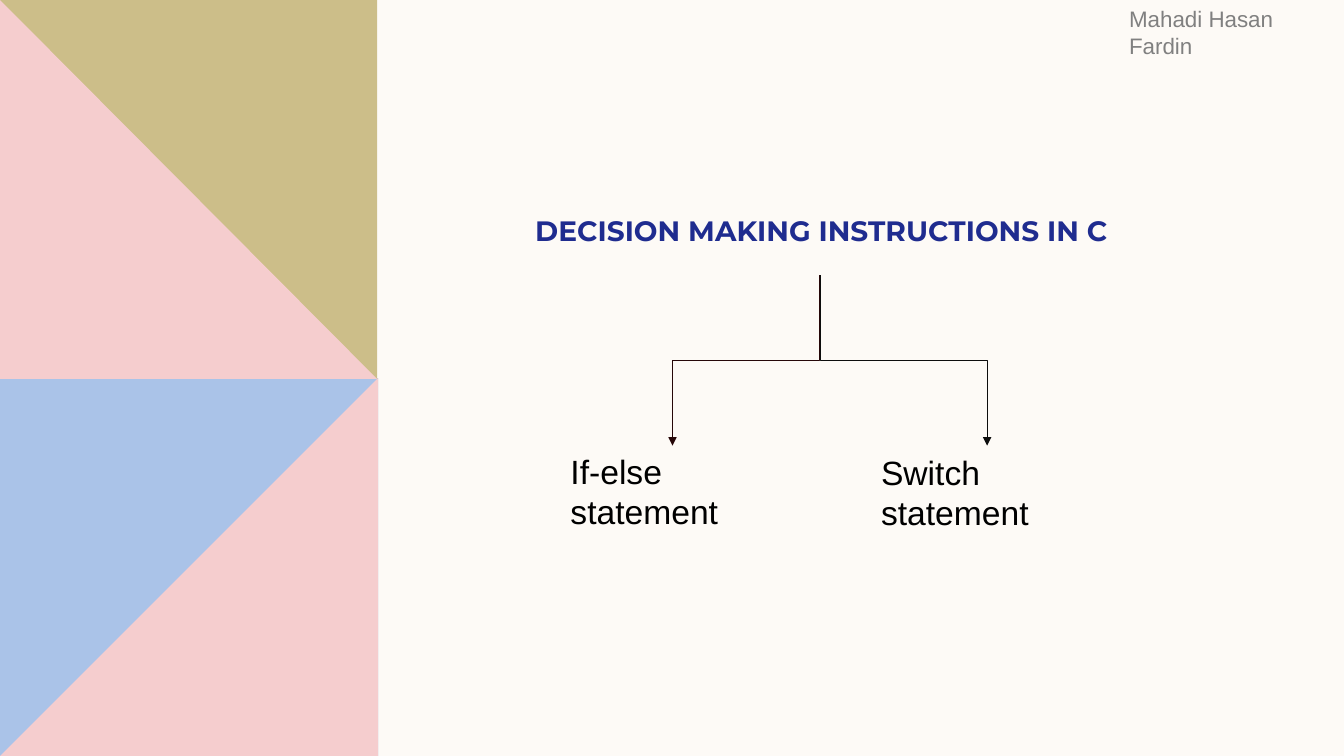
"""Builds the slide on decision making instructions in C."""
import dataclasses

import lxml.etree
import pptx
import pptx.dml.color
import pptx.enum.shapes
import pptx.enum.text
import pptx.oxml.ns
import pptx.util

SCALE = 9144
PINK = "F5CDCE"


@dataclasses.dataclass
class Square:
    left: int
    top: int
    width: int
    height: int
    color: str


@dataclasses.dataclass
class Wedge:
    points: list[tuple[int, int]]
    color: str


@dataclasses.dataclass
class Label:
    text: str
    left: int
    top: int
    width: int
    height: int
    color: str
    format: dict


@dataclasses.dataclass
class Branch:
    start: tuple[int, int]
    end: tuple[int, int]
    color: str


PANEL = [
    Square(0, 375, 375, 375, "AAC3E8"),
    Wedge([(375, 375), (375, 750), (0, 750)], PINK),
    Square(0, 0, 374, 376, "CCBE89"),
    Wedge([(0, 0), (374, 376), (0, 376)], PINK),
]
BODY = {"name": "Arial", "size": pptx.util.Pt(24)}
LABELS = [
    Label("DECISION MAKING INSTRUCTIONS IN C", 521, 207, 740, 84, "1F2C8F",
          {"name": "Montserrat", "size": pptx.util.Pt(20), "bold": True}),
    Label("Switch statement", 864, 443, 272, 50, "000000", BODY),
    Label("If-else statement", 556, 442, 258, 50, "000000", BODY),
    Label("Mahadi Hasan Fardin", 1110, 0, 224, 37, "808080",
          {"name": "Arial", "size": pptx.util.Pt(16)}),
]
BRANCHES = [
    Branch((814, 273), (979, 442), "0D0D0D"),
    Branch((813, 273), (667, 442), "260708"),
]


def px(value: float) -> int:
    return pptx.util.Emu(round(value * SCALE))


def rgb(color: str) -> pptx.dml.color.RGBColor:
    return pptx.dml.color.RGBColor.from_string(color)


def paint(shape, color: str) -> None:
    shape.shadow.inherit = False
    shape.fill.solid()
    shape.fill.fore_color.rgb = rgb(color)
    shape.line.fill.background()


def draw_square(shapes, item: Square) -> None:
    kind = pptx.enum.shapes.MSO_SHAPE.RECTANGLE
    box = map(px, (item.left, item.top, item.width, item.height))
    paint(shapes.add_shape(kind, *box), item.color)


def draw_wedge(shapes, item: Wedge) -> None:
    pen = shapes.build_freeform(*item.points[0], scale=SCALE)
    pen.add_line_segments(item.points[1:], close=True)
    paint(pen.convert_to_shape(), item.color)


def draw_label(shapes, item: Label) -> None:
    box = map(px, (item.left, item.top, item.width, item.height))
    frame = shapes.add_textbox(*box).text_frame
    layout = {
        "word_wrap": True,
        "auto_size": pptx.enum.text.MSO_AUTO_SIZE.SHAPE_TO_FIT_TEXT,
        "vertical_anchor": pptx.enum.text.MSO_ANCHOR.TOP,
    }
    for key, value in layout.items():
        setattr(frame, key, value)
    run = frame.paragraphs[0].add_run()
    run.text = item.text
    for key, value in item.format.items():
        setattr(run.font, key, value)
    run.font.color.rgb = rgb(item.color)


def draw_branch(shapes, item: Branch) -> None:
    """Draws an elbow that leaves downward, as a sideways elbow turned by 90 degrees."""
    (left, top), (right, base) = item.start, item.end
    side = 1 if right > left else -1
    mid_x, mid_y = (left + right) / 2, (top + base) / 2
    reach, half = side * (base - top) / 2, abs(right - left) / 2
    ends = map(px, (mid_x + reach, mid_y - half, mid_x - reach, mid_y + half))
    link = shapes.add_connector(pptx.enum.shapes.MSO_CONNECTOR.ELBOW, *ends)
    link.rotation = -90 * side % 360
    link.line.width = pptx.util.Pt(0.5)
    link.line.color.rgb = rgb(item.color)
    name = pptx.oxml.ns.qn
    line = link.line._get_or_add_ln()
    lxml.etree.SubElement(line, name("a:tailEnd"), type="triangle")
    lxml.etree.SubElement(line.getparent(), name("a:effectLst"))


def main() -> None:
    deck = pptx.Presentation()
    deck.slide_width, deck.slide_height = px(1333), px(750)
    slide = deck.slides.add_slide(deck.slide_layouts[6])
    slide.background.fill.solid()
    slide.background.fill.fore_color.rgb = rgb("FDFAF6")
    draw = {Square: draw_square, Wedge: draw_wedge,
            Label: draw_label, Branch: draw_branch}
    for item in PANEL + LABELS + BRANCHES:
        draw[type(item)](slide.shapes, item)
    deck.save("out.pptx")


if __name__ == "__main__":
    main()
